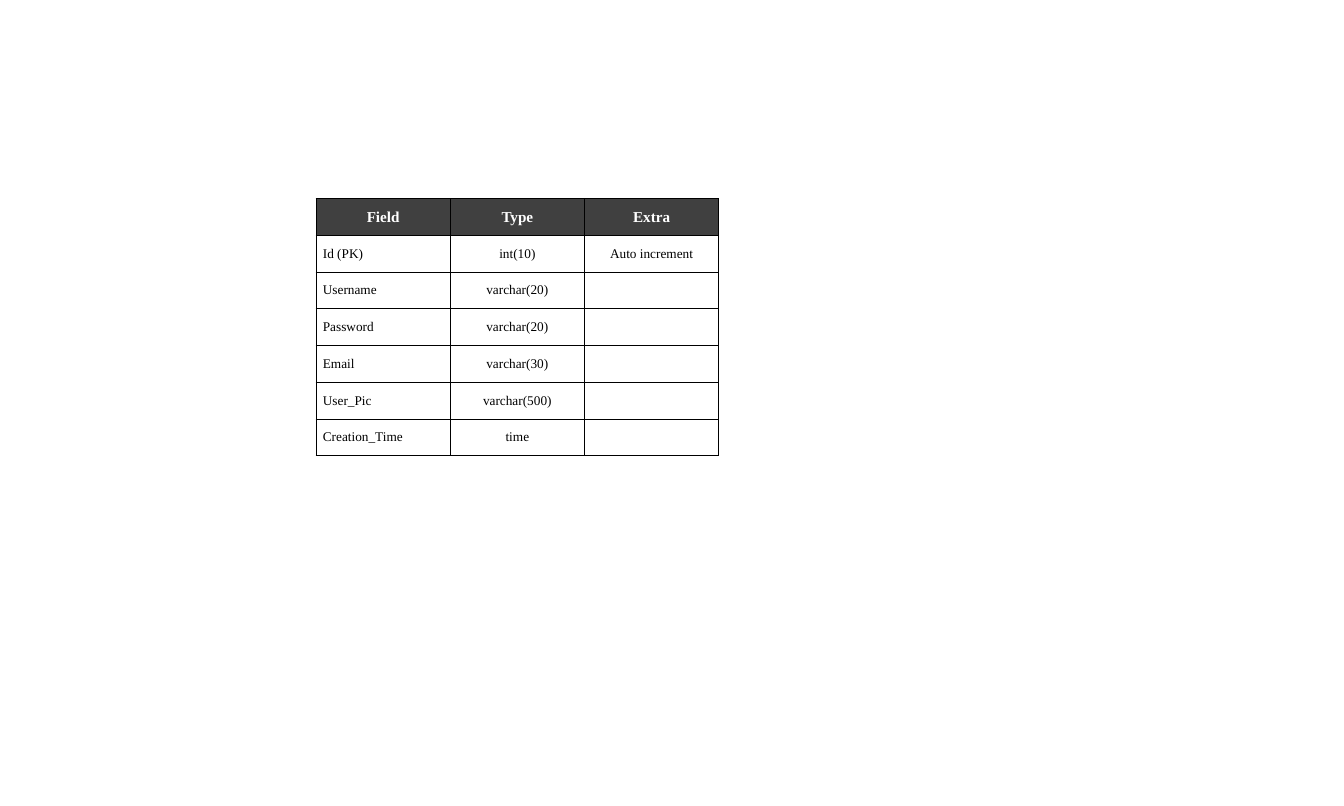
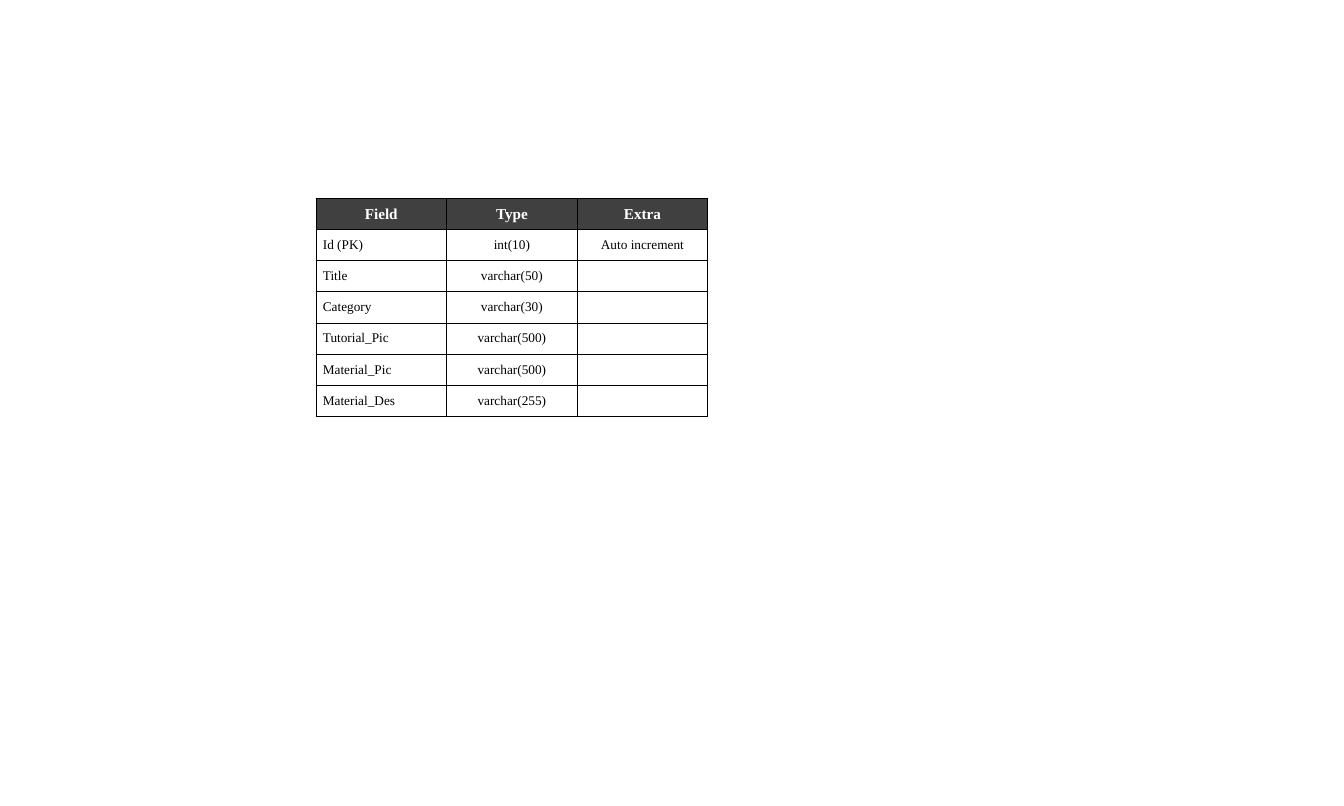
from lxml.etree import SubElement
from pptx import Presentation
from pptx.dml.color import RGBColor
from pptx.enum.text import MSO_ANCHOR, PP_ALIGN
from pptx.oxml.ns import qn
from pptx.util import Inches, Pt

COLORS = {"header": "404040", "header_text": "FFFFFF", "text": "000000", "border": "000000"}
FONT = "Times New Roman"
HEADER = ("Field", "Type", "Extra")
ID_ROW = ("Id (PK)", "int(10)", "Auto increment")

tables = [
    (5.9, 3.77, [
        ("Username", "varchar(20)", ""),
        ("Password", "varchar(20)", ""),
        ("Email", "varchar(30)", ""),
        ("User_Pic", "varchar(500)", ""),
        ("Creation_Time", "time", ""),
    ]),
    (5.74, 3.19, [
        ("Title", "varchar(50)", ""),
        ("Category", "varchar(30)", ""),
        ("Tutorial_Pic", "varchar(500)", ""),
        ("Material_Pic", "varchar(500)", ""),
        ("Material_Des", "varchar(255)", ""),
    ]),
]


def add_borders(cell):
    tc_pr = cell._tc.get_or_add_tcPr()
    for side in ("a:lnL", "a:lnR", "a:lnT", "a:lnB"):
        ln = SubElement(tc_pr, qn(side), w=str(Pt(1)))
        fill = SubElement(ln, qn("a:solidFill"))
        SubElement(fill, qn("a:srgbClr"), val=COLORS["border"])


prs = Presentation()
prs.slide_width, prs.slide_height = Inches(19.69), Inches(11.81)

for width, height, fields in tables:
    s = prs.slides.add_slide(prs.slide_layouts[6])
    rows = [HEADER, ID_ROW] + fields
    table = s.shapes.add_table(len(rows), len(HEADER), Inches(4.63), Inches(2.91),
                               Inches(width), Inches(height)).table
    table.horz_banding = False
    for i, row in enumerate(rows):
        is_header = i == 0
        for j, text in enumerate(row):
            cell = table.cell(i, j)
            cell.vertical_anchor = MSO_ANCHOR.MIDDLE
            add_borders(cell)
            if is_header:
                cell.fill.solid()
                cell.fill.fore_color.rgb = RGBColor.from_string(COLORS["header"])
            else:
                cell.fill.background()
            if not text:
                continue
            p = cell.text_frame.paragraphs[0]
            p.alignment = PP_ALIGN.CENTER if is_header or j else PP_ALIGN.LEFT
            r = p.add_run()
            r.text = text
            r.font.name = FONT
            r.font.size = Pt(16 if is_header else 14)
            r.font.bold = is_header
            r.font.color.rgb = RGBColor.from_string(COLORS["header_text" if is_header else "text"])

prs.save("out.pptx")
